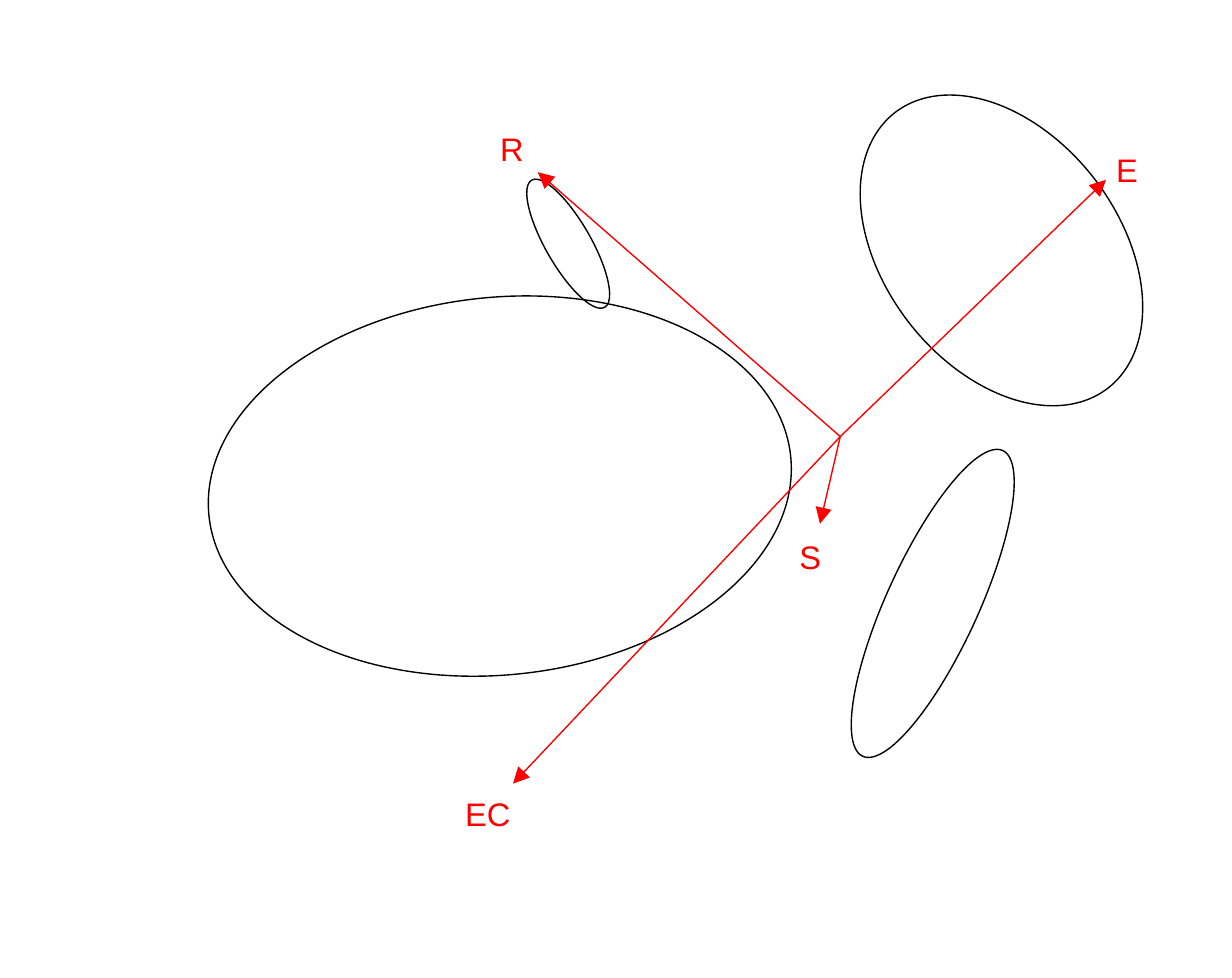
from lxml import etree
from pptx import Presentation
from pptx.dml.color import RGBColor
from pptx.enum.shapes import MSO_CONNECTOR, MSO_SHAPE
from pptx.enum.text import MSO_AUTO_SIZE
from pptx.oxml.ns import qn
from pptx.util import Pt

OVAL = MSO_SHAPE.OVAL
STRAIGHT = MSO_CONNECTOR.STRAIGHT
GROW = MSO_AUTO_SIZE.SHAPE_TO_FIT_TEXT
COLORS = {"oval": "000000", "arrow": "FF0000", "label": "FF0000"}


def color(name):
    return RGBColor.from_string(COLORS[name])


def outline(line, name):
    line.color.rgb = color(name)
    line.width = Pt(0.5)


deck = Presentation()
deck.slide_width, deck.slide_height = Pt(453.6), Pt(360)
slide = deck.slides.add_slide(deck.slide_layouts[6])
shapes = slide.shapes

# Ovals: left, top, width, height, turn in degrees
ovals = [
    (182.2, 81.4, 54, 16.6, 60.1),
    (281.5, 205.2, 123.8, 33.8, 114.6),
    (114.5, 71.3, 139, 215.3, 84.2),
    (304.6, 49, 128.2, 86.4, 52.3),
]
for *box, turn in ovals:
    oval = shapes.add_shape(OVAL, *map(Pt, box))
    oval.rotation = turn
    oval.shadow.inherit = False
    oval.fill.background()
    outline(oval.line, "oval")

# Arrows run from one shared start to these tips
start = (309.4, 160.7)
tips = [(407.2, 66.2), (301.9, 192.8), (188.9, 288.5), (198, 63.4)]
for tip in tips:
    arrow = shapes.add_connector(STRAIGHT, *map(Pt, start + tip))
    outline(arrow.line, "arrow")
    props = arrow.element.spPr
    etree.SubElement(props.find(qn("a:ln")), qn("a:tailEnd"), type="triangle")
    etree.SubElement(props, qn("a:effectLst"))

# Labels: text, left, top, width
labels = [
    ("R", 177.1, 43.9, 33),
    ("E", 403.9, 51.6, 30),
    ("EC", 164.2, 288.7, 33),
    ("S", 287.3, 194.2, 33),
]
for text, left, top, width in labels:
    label = shapes.add_textbox(Pt(left), Pt(top), Pt(width), Pt(21.6))
    frame = label.text_frame
    frame.word_wrap = True
    frame.auto_size = GROW
    frame.text = text
    font = frame.paragraphs[0].font
    font.name, font.size = "Arial", Pt(12)
    font.color.rgb = color("label")

deck.save("out.pptx")
